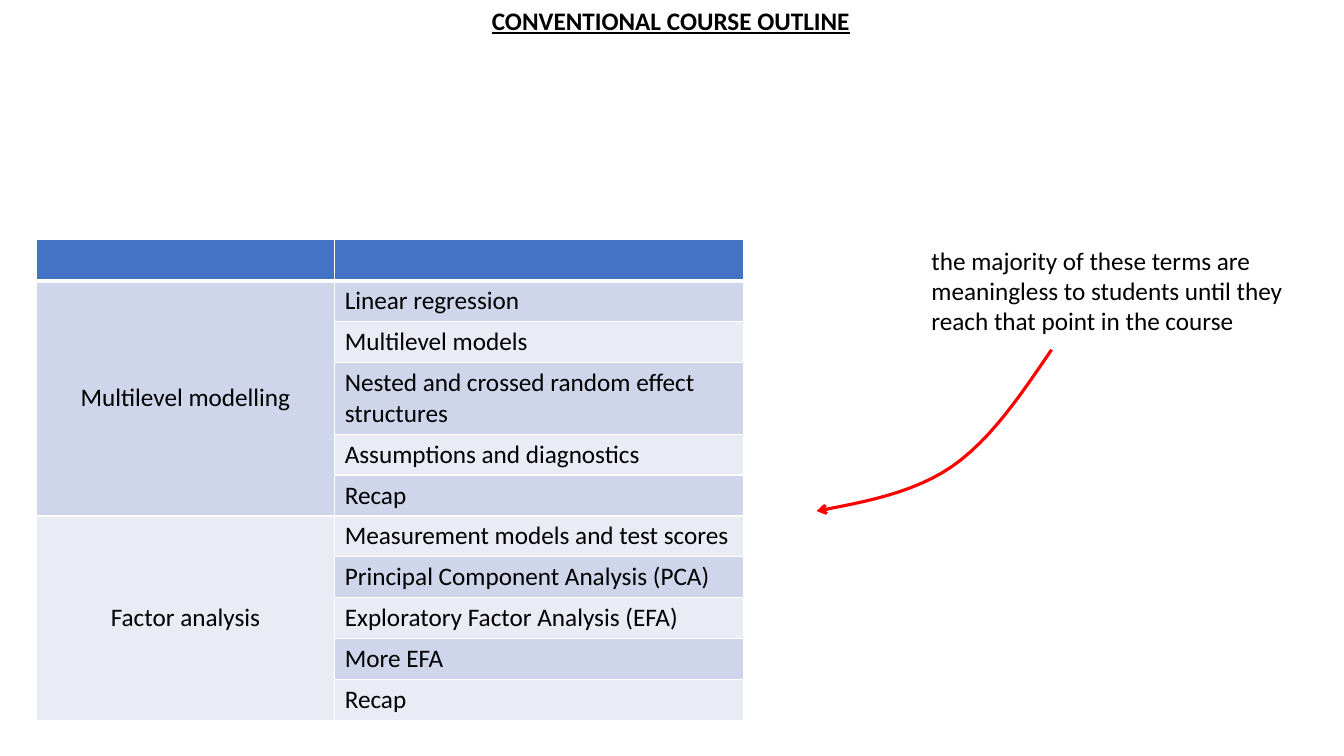
import pptx
import pptx.util
import pptx.dml.color
import pptx.enum.text
import pptx.oxml
import pptx.oxml.ns
from lxml import etree

TITLE = "CONVENTIONAL COURSE OUTLINE"
REMARK = ("the majority of these terms are meaningless to students "
          "until they reach that point in the course")
COURSE = {
    "Multilevel modelling": [
        "Linear regression",
        "Multilevel models",
        "Nested and crossed random effect structures",
        "Assumptions and diagnostics",
        "Recap",
    ],
    "Factor analysis": [
        "Measurement models and test scores",
        "Principal Component Analysis (PCA)",
        "Exploratory Factor Analysis (EFA)",
        "More EFA",
        "Recap",
    ],
}
HEADER, BANDS = "4472C4", ("CFD5EA", "E9EBF5")
BLACK, WHITE, RED = "000000", "FFFFFF", "FF0000"
WIDTH, HEIGHT = 13.33, 7.5
TOP = 2.38
COLUMNS = (2.96, 4.06)
ROW_POINTS = 29.2
ARROW_BENDS = [
    [(10.43, 3.47), (10.13, 3.91), (9.83, 4.36), (9.44, 4.63)],
    [(9.44, 4.63), (9.06, 4.89), (8.58, 4.98), (8.1, 5.07)],
]
ARROW_STEPS = 12

inch, pt = pptx.util.Inches, pptx.util.Pt


def color(hex_string):
    return pptx.dml.color.RGBColor.from_string(hex_string)


def write(frame, text, heading=False):
    frame.text = text
    font = frame.paragraphs[0].runs[0].font
    font.name, font.size = "Calibri", pt(18)
    font.color.rgb = color(BLACK)
    font.bold = font.underline = heading


def add_label(slide, text, box, wrap, heading=False):
    frame = slide.shapes.add_textbox(*map(inch, box)).text_frame
    frame.word_wrap = wrap
    frame.auto_size = pptx.enum.text.MSO_AUTO_SIZE.SHAPE_TO_FIT_TEXT
    write(frame, text, heading)


def paint(cell, fill, top=1, bottom=1):
    properties = cell._tc.get_or_add_tcPr()
    for side, points in (("L", 1), ("R", 1), ("T", top), ("B", bottom)):
        properties.append(pptx.oxml.parse_xml(
            f'<a:ln{side} {pptx.oxml.ns.nsdecls("a")} w="{pt(points)}">'
            f'<a:solidFill><a:srgbClr val="{WHITE}"/></a:solidFill></a:ln{side}>'))
    cell.fill.solid()
    cell.fill.fore_color.rgb = color(fill)


def add_outline(slide):
    rows = 1 + sum(map(len, COURSE.values()))
    table = slide.shapes.add_table(
        rows, len(COLUMNS), inch(0.36), inch(TOP),
        inch(sum(COLUMNS)), pt(ROW_POINTS * rows)).table
    for column, width in zip(table.columns, COLUMNS):
        column.width = inch(width)
    for row in table.rows:
        row.height = pt(ROW_POINTS)
    for cell in table.rows[0].cells:
        paint(cell, HEADER, bottom=3)
    first = 1
    for block, topics in COURSE.items():
        block_cell = table.cell(first, 0)
        block_cell.merge(table.cell(first + len(topics) - 1, 0))
        write(block_cell.text_frame, block)
        block_cell.text_frame.paragraphs[0].alignment = pptx.enum.text.PP_ALIGN.CENTER
        block_cell.vertical_anchor = pptx.enum.text.MSO_ANCHOR.MIDDLE
        for index, topic in enumerate(topics, first):
            top = 3 if index == 1 else 1
            paint(table.cell(index, 0), BANDS[(first - 1) % 2], top)
            paint(table.cell(index, 1), BANDS[(index - 1) % 2], top)
            write(table.cell(index, 1).text_frame, topic)
        first += len(topics)


def bend_point(bend, t):
    weights = ((1 - t) ** 3, 3 * t * (1 - t) ** 2, 3 * t ** 2 * (1 - t), t ** 3)
    return tuple(inch(sum(w * p[axis] for w, p in zip(weights, bend)))
                 for axis in (0, 1))


def add_arrow(slide):
    start, *rest = [bend_point(ARROW_BENDS[0], 0)] + [
        bend_point(bend, step / ARROW_STEPS)
        for bend in ARROW_BENDS for step in range(1, ARROW_STEPS + 1)]
    builder = slide.shapes.build_freeform(*start)
    builder.add_line_segments(rest, close=False)
    arrow = builder.convert_to_shape()
    arrow.shadow.inherit = False
    arrow.fill.background()
    arrow.line.color.rgb = color(RED)
    arrow.line.width = pt(2.25)
    etree.SubElement(arrow.line._get_or_add_ln(),
                     pptx.oxml.ns.qn("a:tailEnd"), type="arrow")


def main():
    """Build the course outline slide."""
    deck = pptx.Presentation()
    deck.slide_width, deck.slide_height = inch(WIDTH), inch(HEIGHT)
    slide = deck.slides.add_slide(deck.slide_layouts[6])
    add_outline(slide)
    add_arrow(slide)
    add_label(slide, REMARK, (9.14, TOP, 3.83, 1.01), wrap=True)
    add_label(slide, TITLE, (4.78, 0, 3.78, 0.4), wrap=False, heading=True)
    deck.save("out.pptx")


if __name__ == "__main__":
    main()
